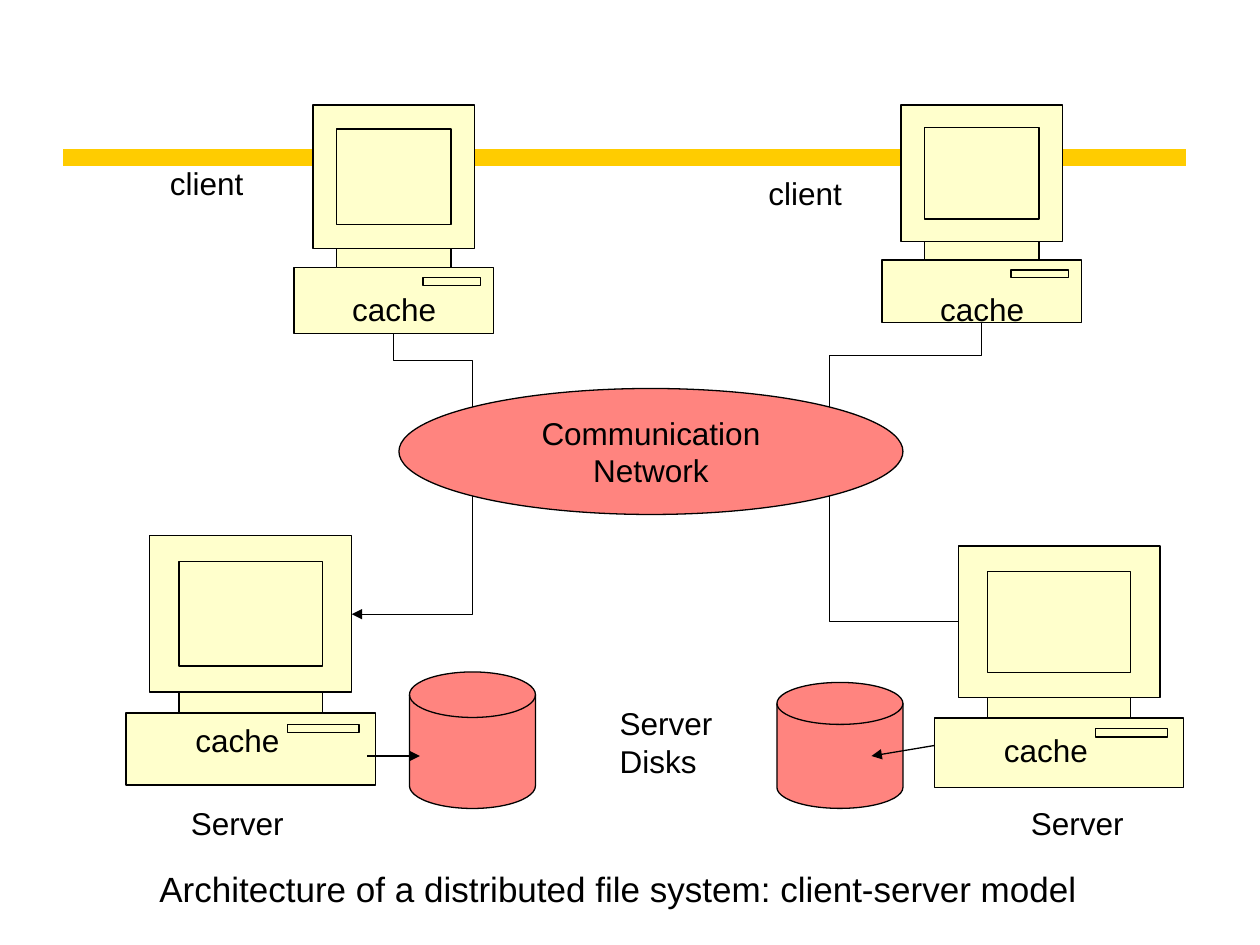
from dataclasses import dataclass

from lxml import etree
from pptx import Presentation
from pptx.dml.color import RGBColor
from pptx.enum.shapes import MSO_CONNECTOR, MSO_SHAPE
from pptx.enum.text import MSO_ANCHOR, PP_ALIGN
from pptx.oxml.ns import qn
from pptx.util import Pt

LINE, BENT = MSO_CONNECTOR.STRAIGHT, MSO_CONNECTOR.ELBOW
OVAL, DISK = MSO_SHAPE.OVAL, MSO_SHAPE.FLOWCHART_MAGNETIC_DISK
TOP, MID = MSO_ANCHOR.TOP, MSO_ANCHOR.MIDDLE
LEFT, CENTER = PP_ALIGN.LEFT, PP_ALIGN.CENTER


@dataclass(frozen=True)
class Theme:
    """Colours, font and sizes of the slide."""
    ink: RGBColor = RGBColor(0, 0, 0)
    band: RGBColor = RGBColor(0xFF, 0xCC, 0)
    cream: RGBColor = RGBColor(0xFF, 0xFF, 0xCC)
    coral: RGBColor = RGBColor(0xFF, 0x84, 0x7F)
    font: str = "Arial"
    body: int = 18
    title: int = 20
    thin: float = 0.75
    thick: float = 10


THEME = Theme()


def write(frame, text, size=THEME.body, align=LEFT):
    """Fill a text frame, one paragraph for each line."""
    frame.text = text
    frame.word_wrap = True
    for para in frame.paragraphs:
        para.alignment = align
        para.font.name = THEME.font
        para.font.size = Pt(size)
        para.font.color.rgb = THEME.ink


def paint(shape, color):
    """Give a shape its fill and thin outline."""
    shape.shadow.inherit = False
    shape.fill.solid()
    shape.fill.fore_color.rgb = color
    shape.line.color.rgb = THEME.ink
    shape.line.width = Pt(THEME.thin)


def label(slide, box, text, size=THEME.body):
    """Add a text box."""
    frame = slide.shapes.add_textbox(*map(Pt, box)).text_frame
    write(frame, text, size)
    frame.margin_right = 0


def solid(slide, kind, box):
    """Add a coral preset shape."""
    shape = slide.shapes.add_shape(kind, *map(Pt, box))
    paint(shape, THEME.coral)
    return shape


def wire(slide, kind, ends, color=THEME.ink, width=THEME.thin, arrow=False):
    """Add a connector, with an arrowhead at its end if asked."""
    link = slide.shapes.add_connector(kind, *map(Pt, ends))
    link.line.color.rgb = color
    link.line.width = Pt(width)
    props = link._element.spPr
    if arrow:
        etree.SubElement(props.find(qn("a:ln")), qn("a:tailEnd"), type="triangle")
    etree.SubElement(props, qn("a:effectLst"))
    return link


def drop(slide, ends, bend=None, arrow=False):
    """Add a bent connector that leaves downwards, with an optional mid bend."""
    x1, y1, x2, y2 = ends
    midx, midy = (x1 + x2) / 2, (y1 + y2) / 2
    high, wide = (y2 - y1) / 2, abs(x2 - x1) / 2
    side = -1 if x2 < x1 else 1
    flat = (midx + side * high, midy - wide, midx - side * high, midy + wide)
    link = wire(slide, BENT, flat, arrow=arrow)
    props = link._element.spPr
    props.find(qn("a:xfrm")).set("rot", "16200000" if side > 0 else "5400000")
    geom = props.find(qn("a:prstGeom"))
    if bend is None:
        geom.set("prst", "bentConnector2")
        return
    guides = geom.find(qn("a:avLst"))
    if guides is None:
        guides = etree.SubElement(geom, qn("a:avLst"))
    etree.SubElement(guides, qn("a:gd"), name="adj1", fmla=f"val {round(bend * 100000)}")


def split(shape):
    """Put each contour of a freeform in its own path, so that none cuts a hole."""
    old = shape._element.find(".//" + qn("a:path"))
    group = old.getparent()
    part = None
    for step in list(old):
        if step.tag == qn("a:moveTo"):
            part = etree.SubElement(group, qn("a:path"), dict(old.attrib))
        part.append(step)
    group.remove(old)


def rect(left, top, right, low):
    """Return the corners of a rectangle."""
    return [(left, top), (right, top), (right, low), (left, low)]


def machine(slide, box):
    """Draw a desktop computer with its cache."""
    left, top, wide, high = box
    neck, edge, chin, base = 0.213, 0.095, 0.628, 0.712
    half = [(1 - neck, base), (1 - neck, chin), (1 - edge, chin), (1 - edge, 0)]
    mirror = [(1 - x, y) for x, y in reversed(half)]
    contours = [
        half + mirror + [(0, base), (0, 1), (1, 1), (1, base)],
        rect(neck, chin, 1 - neck, base),
        rect(neck, 0.105, 1 - neck, 0.523),
        rect(0.647, 0.757, 0.934, 0.791),
    ]
    build = None
    for contour in contours:
        first, *rest = [(Pt(left + x * wide), Pt(top + y * high)) for x, y in contour]
        if build is None:
            build = slide.shapes.build_freeform(*first)
        else:
            build.move_to(*first)
        build.add_line_segments(rest, close=True)
    shape = build.convert_to_shape()
    split(shape)
    paint(shape, THEME.cream)
    frame = shape.text_frame
    write(frame, "cache")
    frame.vertical_anchor = TOP
    frame.margin_left = Pt(7.2 + 0.228 * wide)
    frame.margin_top = Pt(106)
    frame.margin_right = frame.margin_bottom = 0


def network(slide, box):
    """Draw the network in the middle."""
    shape = solid(slide, OVAL, box)
    write(shape.text_frame, "Communication Network", align=CENTER)
    shape.text_frame.vertical_anchor = MID


def links(slide):
    """Join the machines to the network and to their disks."""
    drop(slide, (474, 283.5, 548, 355))
    drop(slide, (270, 283.5, 201, 351), arrow=True)
    drop(slide, (225, 190.5, 270, 232.5), 0.375)
    drop(slide, (561, 184.5, 474, 232.5), 0.39)
    wire(slide, LINE, (210, 432, 240, 432), arrow=True)
    wire(slide, LINE, (534, 426, 498, 432), arrow=True)


def scene(slide):
    """Lay out the whole slide."""
    wire(slide, LINE, (36, 90, 678, 90), THEME.band, THEME.thick)
    network(slide, (228, 222, 288, 72))
    for box in ((234, 384, 72, 78), (444, 390, 72, 72)):
        solid(slide, DISK, box)
    for box in ((168, 60, 114, 130.5), (72, 306, 142.5, 142.5),
                (504, 60, 114, 124.5), (534, 312, 142.5, 138)):
        machine(slide, box)
    links(slide)
    for left in (102, 582):
        label(slide, (left, 456, 67, 29), "Server")
    label(slide, (347, 399, 67, 50), "Server\nDisks")
    for left, top in ((90, 90), (432, 96)):
        label(slide, (left, top, 56, 29), "client")
    label(slide, (84, 492, 582, 32),
          "Architecture of a distributed file system: client-server model",
          THEME.title)


def main():
    """Build and save the deck."""
    deck = Presentation()
    deck.slide_width, deck.slide_height = Pt(720), Pt(540)
    scene(deck.slides.add_slide(deck.slide_layouts[6]))
    deck.save("out.pptx")


if __name__ == "__main__":
    main()
